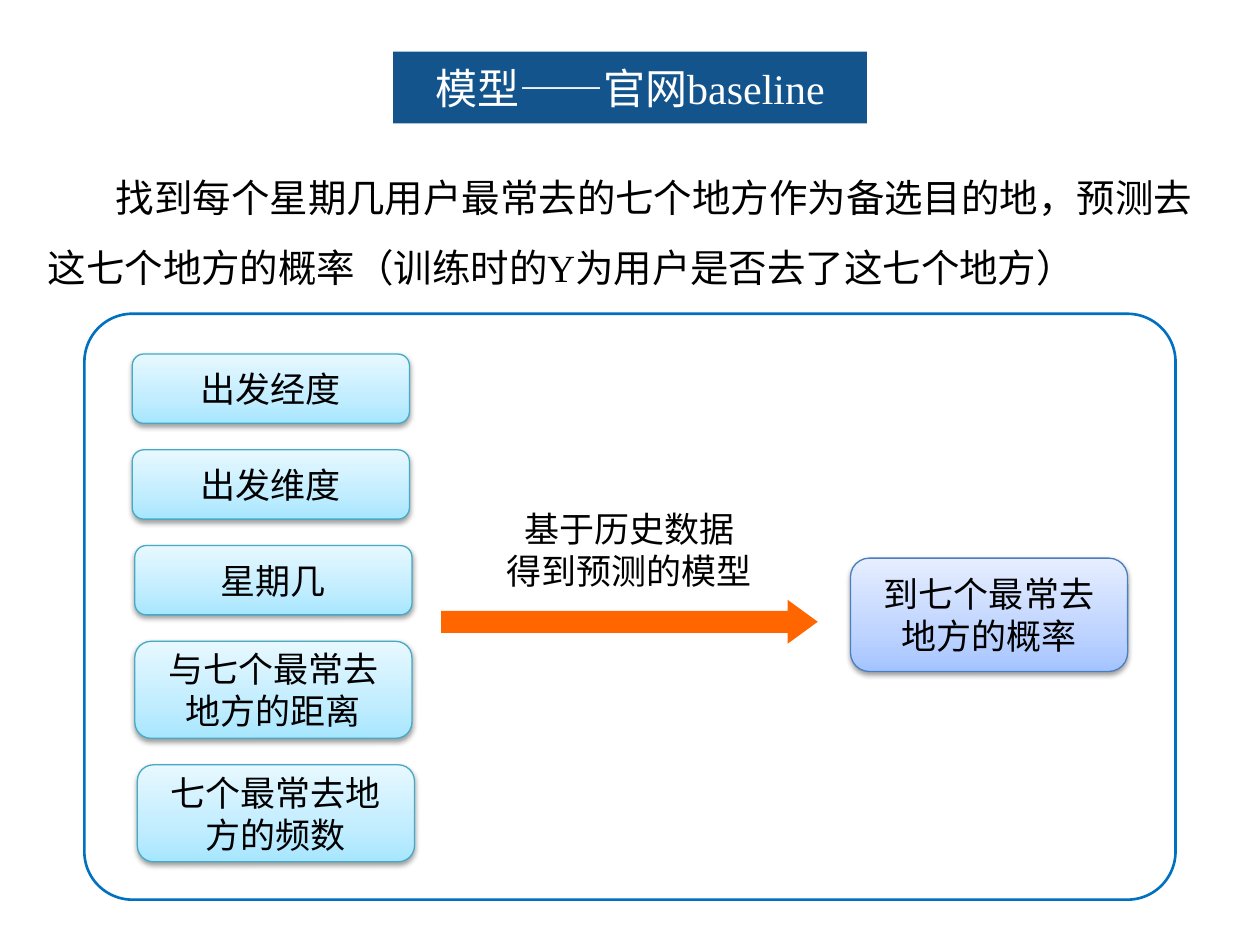
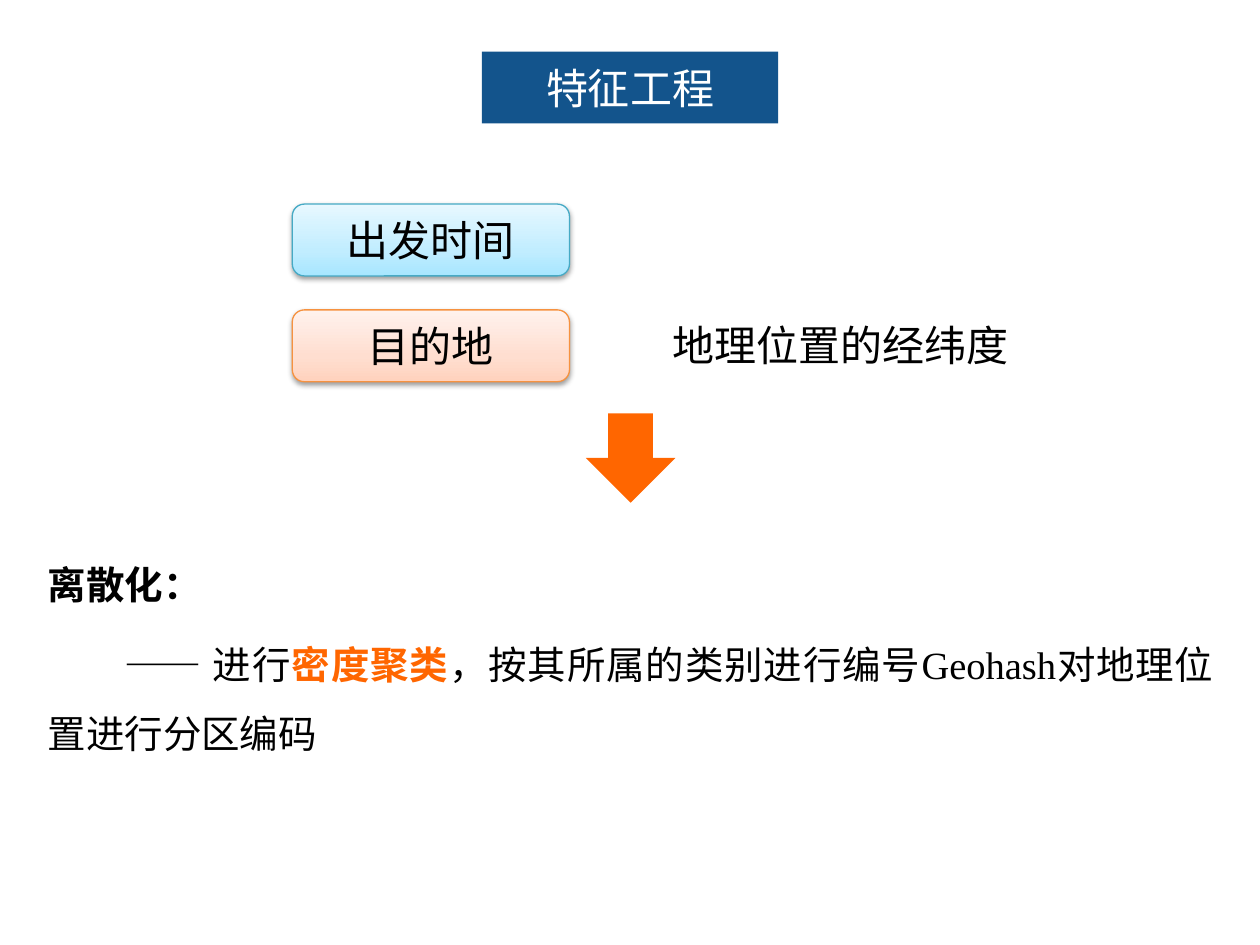
from copy import deepcopy

from pptx import Presentation, util as u
from pptx.dml.color import RGBColor
from pptx.enum import shapes, text
from pptx.oxml import ns, parse_xml

# Shared style
FONT = "Times New Roman"
BLACK, WHITE = "000000", "FFFFFF"
NAVY, BLUE, ORANGE = "13548C", "0070C0", "FF6600"
# Gradient stops from bottom to top, then the outline
CYAN_CARD = ("A7E6FF", "C1EDFF", "E7F8FF"), "46AAC5"
BLUE_CARD = ("A4C4FF", "BFD4FF", "E6EEFF"), "4B7EBC"
PEACH_CARD = ("FFD2BD", "FFDED0", "FFF2ED"), "F69240"
STOP_POSITIONS = (0, 0.35, 1)
CARD_WIDTH = 2.2
BODY_LEFT, BODY_WIDTH = 0.28, 9.45
CENTER, JUSTIFY, LEFT = (text.PP_ALIGN.CENTER, text.PP_ALIGN.JUSTIFY,
                         text.PP_ALIGN.LEFT)
SHAPE = shapes.MSO_SHAPE


def color(value):
    return RGBColor.from_string(value)


def inches(box):
    return [u.Inches(value) for value in box]


def place(shape, box):
    shape.left, shape.top, shape.width, shape.height = inches(box)


def add_run(paragraph, words, size, ink=BLACK, bold=False):
    run = paragraph.add_run()
    run.text = words
    run.font.name = FONT
    run.font.size = u.Pt(size)
    run.font.bold = bold
    run.font.color.rgb = color(ink)


def write_lines(frame, lines, size, align=CENTER, ink=BLACK):
    frame.word_wrap = True
    for index, line in enumerate(lines):
        paragraph = frame.add_paragraph() if index else frame.paragraphs[0]
        paragraph.alignment = align
        add_run(paragraph, line, size, ink)


def add_plain_shape(slide, kind, box, fill=None, line=None, adjustments=()):
    shape = slide.shapes.add_shape(kind, *inches(box))
    shape.shadow.inherit = False
    for index, value in enumerate(adjustments):
        shape.adjustments[index] = value
    if fill:
        shape.fill.solid()
        shape.fill.fore_color.rgb = color(fill)
    else:
        shape.fill.background()
    if line:
        shape.line.color.rgb = color(line)
        shape.line.width = u.Pt(1.5)
    else:
        shape.line.fill.background()
    return shape


def add_card(slide, box, words, style, size):
    """Rounded card with a gradient, a thin outline and a soft shadow."""
    stops, outline = style
    card = add_plain_shape(slide, SHAPE.ROUNDED_RECTANGLE, box, line=outline)
    card.line.width = u.Pt(0.75)
    card.fill.gradient()
    card.fill.gradient_angle = 90
    stop_list = card._element.find(".//" + ns.qn("a:gsLst"))
    stop_list.append(deepcopy(stop_list[-1]))
    for stop, value, position in zip(card.fill.gradient_stops, stops,
                                     STOP_POSITIONS):
        stop.color.rgb = color(value)
        stop.position = position
    card._element.find(".//" + ns.qn("a:effectLst")).append(parse_xml(
        f'<a:outerShdw {ns.nsdecls("a")} blurRad="40000" dist="20000" '
        'dir="5400000" rotWithShape="0"><a:srgbClr val="000000">'
        '<a:alpha val="38000"/></a:srgbClr></a:outerShdw>'))
    card.text_frame.vertical_anchor = text.MSO_ANCHOR.MIDDLE
    write_lines(card.text_frame, [words], size)


def add_label(slide, box, lines, size, align):
    label = slide.shapes.add_textbox(*inches(box))
    write_lines(label.text_frame, lines, size, align)


def format_title(slide, words, width):
    """Pill-shaped title centred at the top of the slide."""
    title = slide.shapes.title
    place(title, ((10 - width) / 2, 0.41, width, 0.57))
    title._element.spPr.append(parse_xml(
        f'<a:prstGeom {ns.nsdecls("a")} prst="roundRect"><a:avLst>'
        '<a:gd name="adj" fmla="val 50000"/></a:avLst></a:prstGeom>'))
    title.fill.solid()
    title.fill.fore_color.rgb = color(NAVY)
    frame = title.text_frame
    frame.auto_size = text.MSO_AUTO_SIZE.NONE
    frame.vertical_anchor = text.MSO_ANCHOR.MIDDLE
    frame.margin_top = frame.margin_bottom = 0
    write_lines(frame, [words], 24, ink=WHITE)


def format_body(slide, top, height, paragraphs, align):
    """Body text; each paragraph is a first-line indent and its runs."""
    body = slide.placeholders[1]
    place(body, (BODY_LEFT, top, BODY_WIDTH, height))
    frame = body.text_frame
    frame.auto_size = text.MSO_AUTO_SIZE.NONE
    for index, (indent, runs) in enumerate(paragraphs):
        paragraph = frame.add_paragraph() if index else frame.paragraphs[0]
        properties = paragraph._p.get_or_add_pPr()
        properties.set("marL", "0")
        properties.set("indent", str(u.Inches(indent)))
        properties.append(parse_xml(f'<a:buNone {ns.nsdecls("a")}/>'))
        paragraph.alignment = align
        paragraph.line_spacing = 1.5
        paragraph.space_before = u.Pt(6 if index else 0)
        for run in runs:
            add_run(paragraph, run[0], 22, *run[1:])


def add_feature_column(slide, left, top):
    """Input features stacked with equal gaps."""
    features = [("出发经度", 0.55), ("出发维度", 0.55), ("星期几", 0.55),
                ("与七个最常去地方的距离", 0.77),
                ("七个最常去地方的频数", 0.77)]
    for index, (words, height) in enumerate(features):
        step = 0.02 * (index // 2)
        add_card(slide, (left + step, top, CARD_WIDTH, height), words,
                 CYAN_CARD, 20)
        top += height + 0.21


def add_model_diagram(slide, box):
    """Framed flow from features through the model to probabilities."""
    left, top = box[:2]
    add_plain_shape(slide, SHAPE.ROUNDED_RECTANGLE, box, line=BLUE,
                    adjustments=[0.082])
    add_feature_column(slide, left + 0.38, top + 0.32)
    add_plain_shape(slide, SHAPE.RIGHT_ARROW,
                    (left + 2.83, top + 2.27, 2.99, 0.35), ORANGE,
                    adjustments=[0.5, 0.686])
    add_label(slide, (left + 2.91, top + 1.49, 2.83, 0.77),
              ["基于历史数据", "得到预测的模型"], 20, CENTER)
    add_card(slide, (left + 6.08, top + 1.94, CARD_WIDTH, 0.9),
             "到七个最常去地方的概率", BLUE_CARD, 20)


def add_feature_rows(slide, left, top):
    """Raw features, with a note beside the destination."""
    rows = [("出发时间", CYAN_CARD), ("目的地", PEACH_CARD)]
    for index, (words, style) in enumerate(rows):
        add_card(slide, (left, top + 0.84 * index, CARD_WIDTH, 0.57),
                 words, style, 24)
    add_label(slide, (left + 2.92, top + 0.87, 3.39, 0.5),
              ["地理位置的经纬度"], 24, LEFT)


def build_baseline_slide(slide):
    format_title(slide, "模型——官网baseline", 3.76)
    explanation = ("找到每个星期几用户最常去的七个地方作为备选目的地，"
                   "预测去这七个地方的概率（训练时的Y为用户是否去了这七个地方）")
    format_body(slide, 1.15, 1.15, [(0.54, [(explanation,)])], LEFT)
    add_model_diagram(slide, (0.67, 2.49, 8.66, 4.65))


def build_features_slide(slide):
    format_title(slide, "特征工程", 2.35)
    add_feature_rows(slide, 2.32, 1.62)
    add_plain_shape(slide, SHAPE.DOWN_ARROW, (4.65, 3.28, 0.71, 0.71), ORANGE)
    format_body(slide, 4.22, 1.79, [
        (0, [("离散化：", BLACK, True)]),
        (0.61, [("—— 进行",), ("密度聚类", ORANGE, True),
                ("，按其所属的类别进行编号Geohash对地理位置进行分区编码",)]),
    ], JUSTIFY)


def main():
    presentation = Presentation()
    presentation.slide_width = u.Inches(10)
    presentation.slide_height = u.Inches(7.5)
    layout = presentation.slide_layouts[1]
    for build in (build_baseline_slide, build_features_slide):
        build(presentation.slides.add_slide(layout))
    presentation.save("out.pptx")


if __name__ == "__main__":
    main()
